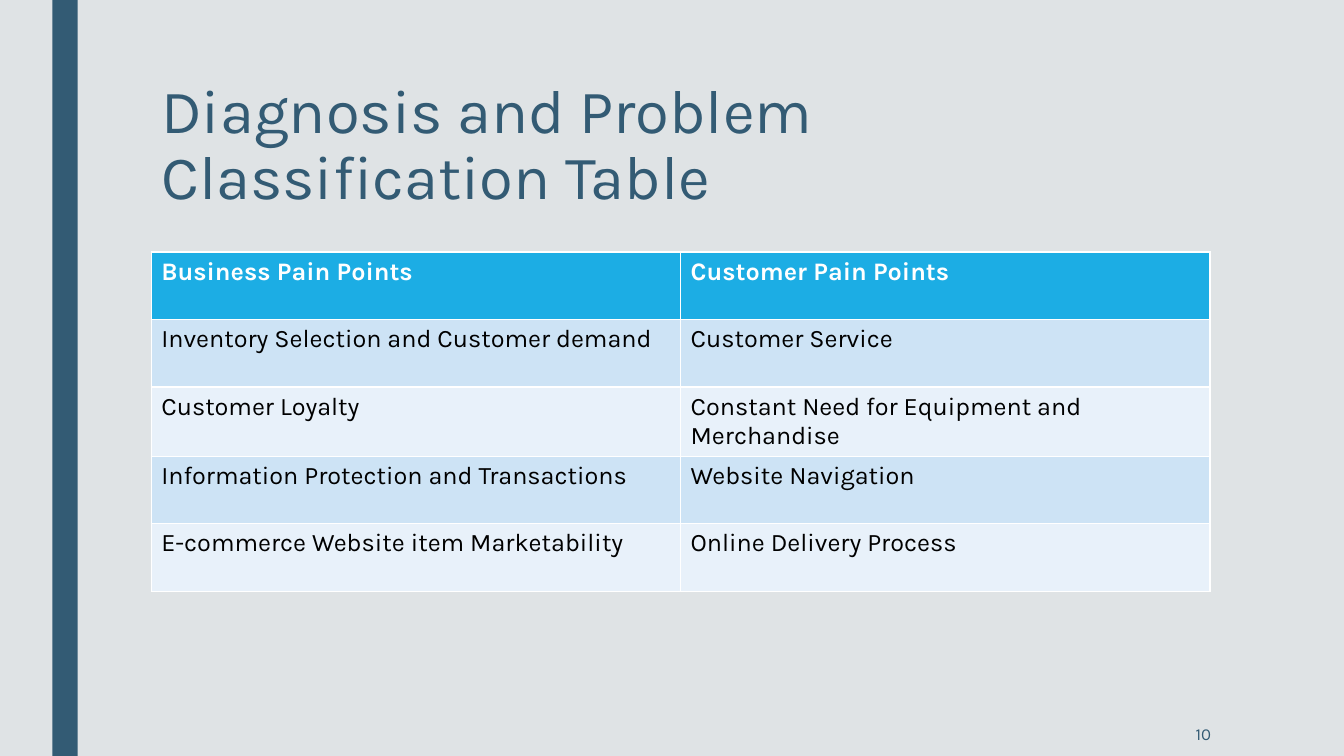
from dataclasses import dataclass

from pptx import Presentation
from pptx.dml.color import RGBColor
from pptx.enum.shapes import MSO_SHAPE
from pptx.enum.text import MSO_ANCHOR, MSO_AUTO_SIZE, PP_ALIGN
from pptx.util import Inches, Pt

# Content
TITLE = "Diagnosis and Problem Classification Table"
PAGE_NUMBER = "10"
PAIN_POINTS = [
    ("Business Pain Points", "Customer Pain Points"),
    ("Inventory Selection and Customer demand", "Customer Service"),
    ("Customer Loyalty", "Constant Need for Equipment and Merchandise"),
    ("Information Protection and Transactions", "Website Navigation"),
    ("E-commerce Website item Marketability", "Online Delivery Process"),
]


@dataclass(frozen=True)
class Theme:
    font: str = "Karla"
    background: str = "DFE3E5"
    accent: str = "335B74"
    header_fill: str = "1CADE4"
    header_text: str = "FFFFFF"
    body_text: str = "000000"
    bands: tuple = ("CDE3F5", "E8F1FA")
    title_size: int = 44
    table_size: int = 18
    number_size: int = 12


THEME = Theme()
LEFT, CONTENT_WIDTH = 1.5, 10.5
TABLE_TOP, ROW_HEIGHT = 2.5, 0.67


def paint(fill, color):
    fill.solid()
    fill.fore_color.rgb = RGBColor.from_string(color)


def style(paragraph, size, color, bold=False):
    font = paragraph.font
    font.name, font.size, font.bold = THEME.font, Pt(size), bold
    font.color.rgb = RGBColor.from_string(color)


def add_side_bar(slide):
    bar = slide.shapes.add_shape(
        MSO_SHAPE.RECTANGLE, Inches(0.52), 0, Inches(0.25), Inches(7.5))
    bar.shadow.inherit = False
    paint(bar.fill, THEME.accent)
    bar.line.fill.background()


def add_title(slide):
    title = slide.shapes.title
    title.left, title.top = Inches(LEFT), Inches(0.75)
    title.width, title.height = Inches(CONTENT_WIDTH), Inches(1.62)
    frame = title.text_frame
    frame.text = TITLE
    frame.word_wrap = True
    frame.auto_size = MSO_AUTO_SIZE.NONE
    frame.vertical_anchor = MSO_ANCHOR.TOP
    paragraph = frame.paragraphs[0]
    paragraph.alignment = PP_ALIGN.LEFT
    paragraph.line_spacing = 0.89
    style(paragraph, THEME.title_size, THEME.accent)


def add_pain_point_table(slide):
    row_count, column_count = len(PAIN_POINTS), len(PAIN_POINTS[0])
    table = slide.shapes.add_table(
        row_count, column_count, Inches(LEFT), Inches(TABLE_TOP),
        Inches(CONTENT_WIDTH), Inches(ROW_HEIGHT * row_count)).table
    for row_index, texts in enumerate(PAIN_POINTS):
        is_header = row_index == 0
        band = THEME.bands[(row_index - 1) % len(THEME.bands)]
        for column_index, text in enumerate(texts):
            cell = table.cell(row_index, column_index)
            cell.text = text
            paint(cell.fill, THEME.header_fill if is_header else band)
            color = THEME.header_text if is_header else THEME.body_text
            style(cell.text_frame.paragraphs[0], THEME.table_size, color, is_header)


def add_page_number(slide):
    box = slide.shapes.add_textbox(
        Inches(10.36), Inches(7.06), Inches(1.75), Inches(0.44))
    frame = box.text_frame
    frame.text = PAGE_NUMBER
    frame.word_wrap = True
    frame.vertical_anchor = MSO_ANCHOR.MIDDLE
    paragraph = frame.paragraphs[0]
    paragraph.alignment = PP_ALIGN.RIGHT
    style(paragraph, THEME.number_size, THEME.accent)


def main():
    presentation = Presentation()
    presentation.slide_width, presentation.slide_height = Inches(13.33), Inches(7.5)
    title_only = presentation.slide_layouts[5]
    slide = presentation.slides.add_slide(title_only)
    paint(slide.background.fill, THEME.background)
    add_side_bar(slide)
    add_title(slide)
    add_pain_point_table(slide)
    add_page_number(slide)
    presentation.save("out.pptx")


if __name__ == "__main__":
    main()
